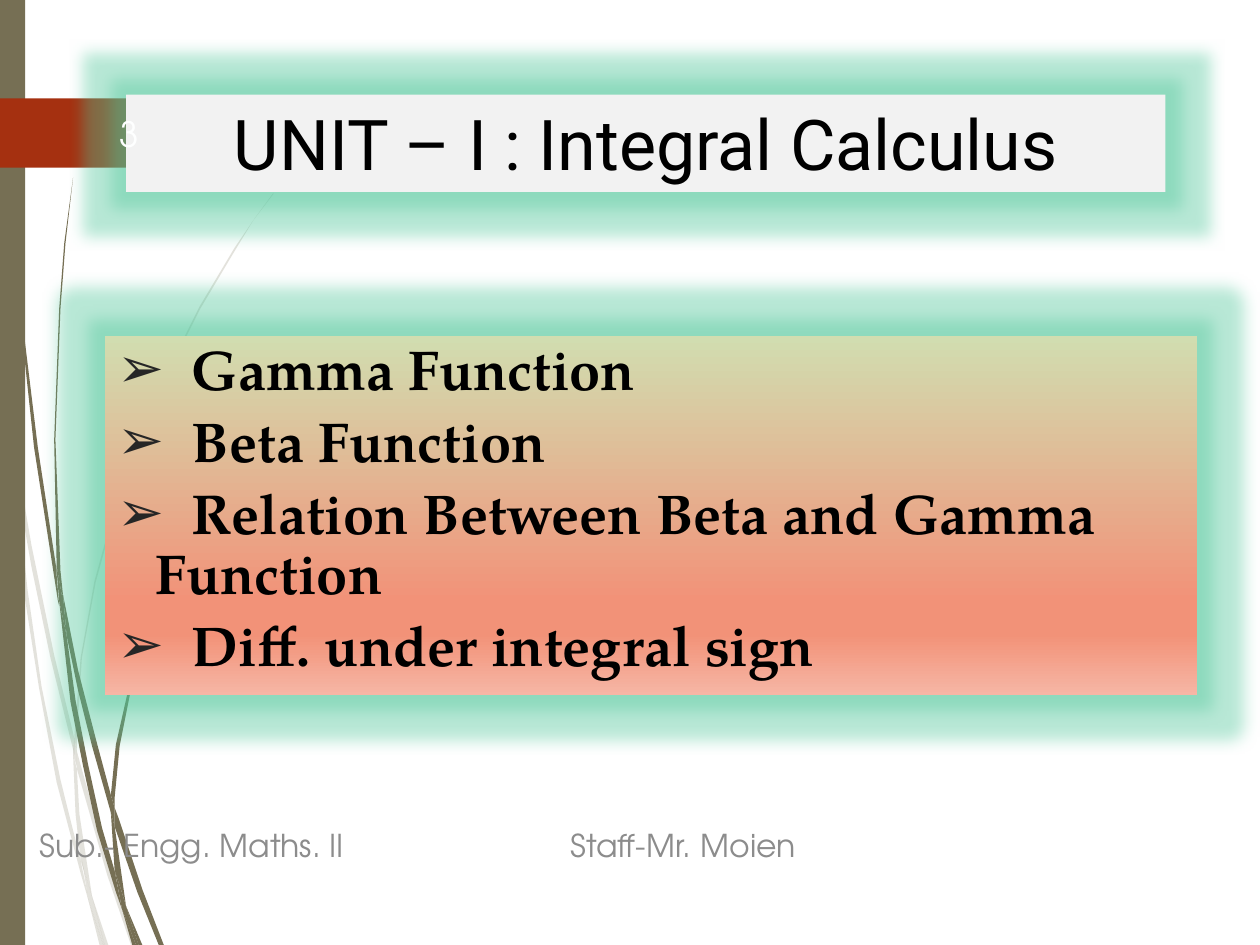
from lxml import etree
from pptx import Presentation
from pptx.dml.color import RGBColor
from pptx.enum.shapes import MSO_SHAPE as Preset
from pptx.enum.text import MSO_ANCHOR as Anchor, PP_ALIGN as Align
from pptx.oxml import parse_xml
from pptx.oxml.ns import nsdecls, qn
from pptx.util import Pt

COLORS = {
    "olive": "766F54", "rust": "A53010", "panel": "F2F2F2", "ink": "000000",
    "bullet": "262626", "footer": "8C8C8C", "number": "FEFFFF", "glow": "4EC699",
}
GRADIENT = [(0, "D1DDB0"), (74, "F29278"), (83, "F29278"), (100, "F6B6A5")]
TOPICS = ["Gamma Function", "Beta Function",
          "Relation Between Beta and Gamma Function", "Diff. under integral sign"]
INCH = 72

PALE_WISPS = [
    [(0.08, 3.5), (0.06, 3.22), (0, 2.82), (0, 2.99), (0.07, 3.44)],
    [(0.4, 5.22), (0.59, 5.99), (0.59, 5.86), (0.43, 5.2), (0.25, 4.33), (0.1, 3.45),
     (0.12, 3.76), (0.25, 4.5)],
    [(0.64, 6.07), (0.61, 5.96), (0.61, 6.1), (0.85, 6.94), (1.04, 7.5), (1.08, 7.5),
     (0.88, 6.92)],
    [(0.83, 7.5), (0.86, 7.5), (0.73, 7.11)],
    [(0.64, 6.83), (0.48, 6.19), (0.33, 5.45), (0.22, 4.69), (0.12, 3.76), (0.08, 3.5),
     (0.19, 4.7), (0.31, 5.46), (0.45, 6.21), (0.64, 6.93), (0.7, 7.14), (0.69, 7.07)],
    [(0.58, 5.99), (0.6, 6.46), (0.64, 6.83), (0.67, 6.92), (0.73, 7.11), (0.63, 6.46),
     (0.61, 6.1)],
    [(0.61, 5.84), (0.65, 5.22), (0.76, 4.62), (0.92, 4.04), (1.11, 3.49), (1.34, 2.95),
     (1.59, 2.45), (1.87, 1.98), (2.01, 1.75), (2.17, 1.54), (2.17, 1.53), (2.01, 1.75),
     (1.86, 1.97), (1.58, 2.44), (1.33, 2.94), (1.1, 3.48), (0.91, 4.03), (0.75, 4.61),
     (0.64, 5.22), (0.59, 5.84), (0.59, 5.86), (0.61, 5.96)],
    [(0.7, 7.14), (0.79, 7.5), (0.82, 7.5)],
    [(0.61, 6.08), (0.61, 5.96), (0.59, 5.86), (0.58, 5.99)],
    [(0.67, 6.92), (0.65, 6.83), (0.69, 7.07), (0.7, 7.14), (0.82, 7.5), (0.83, 7.5),
     (0.73, 7.11)],
]
DARK_WISPS = [
    [(0.05, 1.1), (0.14, 2.33), (0.27, 3.55), (0.46, 4.77), (0.47, 4.81), (0.45, 4.57),
     (0.45, 4.53), (0.3, 3.55), (0.15, 2.32), (0.06, 1.09), (0.04, 0.48), (0.03, 0),
     (0.02, 0), (0.03, 0.48)],
    [(0.73, 5.92), (0.88, 6.45), (0.88, 6.31), (0.77, 5.9), (0.62, 5.32), (0.5, 4.72),
     (0.53, 5.05), (0.62, 5.48)],
    [(0.94, 6.49), (0.91, 6.41), (0.91, 6.56), (1.09, 7.08), (1.26, 7.5), (1.3, 7.5),
     (1.13, 7.06)],
    [(0.91, 6.91), (0.81, 6.57), (0.7, 6.07), (0.6, 5.56), (0.53, 5.05), (0.47, 4.77),
     (0.56, 5.57), (0.66, 6.08), (0.77, 6.59), (0.92, 7.08), (0.97, 7.22), (0.96, 7.17)],
    [(0.5, 4.72), (0.48, 4.53), (0.44, 3.49), (0.48, 2.45), (0.52, 1.93), (0.58, 1.41),
     (0.51, 1.93), (0.47, 2.45), (0.43, 3.49), (0.45, 4.49), (0.49, 4.72)],
    [(1.1, 7.5), (1.13, 7.5), (1, 7.19)],
    [(0.47, 4.77), (0.53, 5.05), (0.5, 4.72), (0.49, 4.72), (0.45, 4.49), (0.45, 4.53)],
    [(0.91, 6.33), (0.95, 5.92), (1.03, 5.52), (1.16, 5.13), (1.31, 4.76), (1.49, 4.4),
     (1.69, 4.06), (1.91, 3.74), (2.03, 3.59), (2.16, 3.44), (2.15, 3.44), (2.03, 3.58),
     (1.91, 3.73), (1.68, 4.05), (1.48, 4.39), (1.29, 4.74), (1.14, 5.12), (1.01, 5.51),
     (0.92, 5.91), (0.88, 6.31), (0.91, 6.41)],
    [(0.97, 7.22), (1.05, 7.5), (1.08, 7.5)],
    [(0.88, 6.45), (0.91, 6.91), (0.96, 7.06), (1, 7.19), (0.91, 6.56)],
    [(0.88, 6.45), (0.91, 6.56), (0.91, 6.41), (0.88, 6.31)],
    [(0.96, 7.06), (0.91, 6.91), (0.97, 7.22), (1.08, 7.5), (1.1, 7.5), (1, 7.19)],
]
BADGE = [(0, 0.78), (1.21, 0.78), (1.24, 0.79), (1.49, 1.04), (1.49, 1.07),
         (1.24, 1.32), (1.21, 1.33), (0, 1.33)]

presentation = Presentation()
presentation.slide_width, presentation.slide_height = Pt(720), Pt(540)
slide = presentation.slides.add_slide(presentation.slide_layouts[6])
shapes = slide.shapes


def paint(shape, color):
    shape.shadow.inherit = False
    shape.line.fill.background()
    shape.fill.solid()
    shape.fill.fore_color.rgb = RGBColor.from_string(COLORS[color])


def write(paragraph, text, font, size, color, align=Align.LEFT):
    paragraph.text = text
    paragraph.alignment = align
    paragraph.font.name = font
    paragraph.font.size = Pt(size)
    paragraph.font.color.rgb = RGBColor.from_string(COLORS[color])


outlines = [(points, "olive", 20) for points in PALE_WISPS]
outlines += [(points, "olive", 100) for points in DARK_WISPS]
outlines.append((BADGE, "rust", 100))
for points, color, opacity in outlines:
    corners = [(Pt(x * INCH), Pt(y * INCH)) for x, y in points]
    builder = shapes.build_freeform(*corners[0])
    builder.add_line_segments(corners[1:], close=True)
    outline = builder.convert_to_shape()
    paint(outline, color)
    if opacity < 100:
        rgb = outline._element.spPr.find(qn("a:solidFill"))[0]
        etree.SubElement(rgb, qn("a:alpha"), val=str(opacity * 1000))
    if points is DARK_WISPS[-1]:
        side_bar = shapes.add_shape(Preset.RECTANGLE, 0, 0, Pt(14.4), Pt(540))
        paint(side_bar, "olive")

title = shapes.add_shape(Preset.RECTANGLE, Pt(72), Pt(54), Pt(594), Pt(55.7))
topics = shapes.add_shape(Preset.RECTANGLE, Pt(60), Pt(192), Pt(624), Pt(205.2))
for panel in (title, topics):
    paint(panel, "panel")
    panel.text_frame.word_wrap = True
    panel.text_frame.vertical_anchor = Anchor.TOP
    panel._element.spPr.find(qn("a:effectLst")).append(parse_xml(
        f'<a:glow {nsdecls("a")} rad="228600"><a:srgbClr val="{COLORS["glow"]}">'
        '<a:alpha val="40000"/></a:srgbClr></a:glow>'))

write(title.text_frame.paragraphs[0], "UNIT – I : Integral Calculus",
      "Roboto", 40, "ink", Align.CENTER)

stops = "".join(f'<a:gs pos="{position * 1000}"><a:srgbClr val="{color}"/></a:gs>'
                for position, color in GRADIENT)
solid = topics._element.spPr.find(qn("a:solidFill"))
solid.getparent().replace(solid, parse_xml(
    f'<a:gradFill {nsdecls("a")} rotWithShape="1"><a:gsLst>{stops}</a:gsLst>'
    '<a:lin ang="5400000" scaled="0"/></a:gradFill>'))

for index, topic in enumerate(TOPICS):
    frame = topics.text_frame
    paragraph = frame.add_paragraph() if index else frame.paragraphs[0]
    write(paragraph, "\t" + topic, "TeX Gyre Pagella", 32, "ink")
    paragraph.font.bold = True
    paragraph.line_spacing = 0.9
    paragraph.space_before = Pt(6.4)
    properties = paragraph._p.get_or_add_pPr()
    properties.set("marL", str(Pt(21.6)))
    properties.set("indent", str(Pt(-21.6)))
    bullet = parse_xml(
        f'<a:pPr {nsdecls("a")}><a:buClr><a:srgbClr val="{COLORS["bullet"]}"/></a:buClr>'
        '<a:buFont typeface="Karla"/><a:buChar char="➢"/>'
        f'<a:tabLst><a:tab pos="{Pt(42.5)}" algn="l"/></a:tabLst></a:pPr>')
    defaults = properties.find(qn("a:defRPr"))
    for element in list(bullet):
        defaults.addprevious(element)

for text, left, top, width, height, size, color, align in [
    ("Sub.- Engg. Maths. II", 15.5, 461.9, 260, 41.8, 18, "footer", Align.LEFT),
    ("Staff-Mr. Moien", 318.8, 461.9, 260, 41.8, 18, "footer", Align.LEFT),
    ("3", 40.3, 61.9, 46.1, 28.8, 20, "number", Align.RIGHT),
]:
    box = shapes.add_textbox(Pt(left), Pt(top), Pt(width), Pt(height))
    box.text_frame.word_wrap = True
    box.text_frame.vertical_anchor = Anchor.MIDDLE
    write(box.text_frame.paragraphs[0], text, "TeX Gyre Adventor", size, color, align)

presentation.save("out.pptx")
